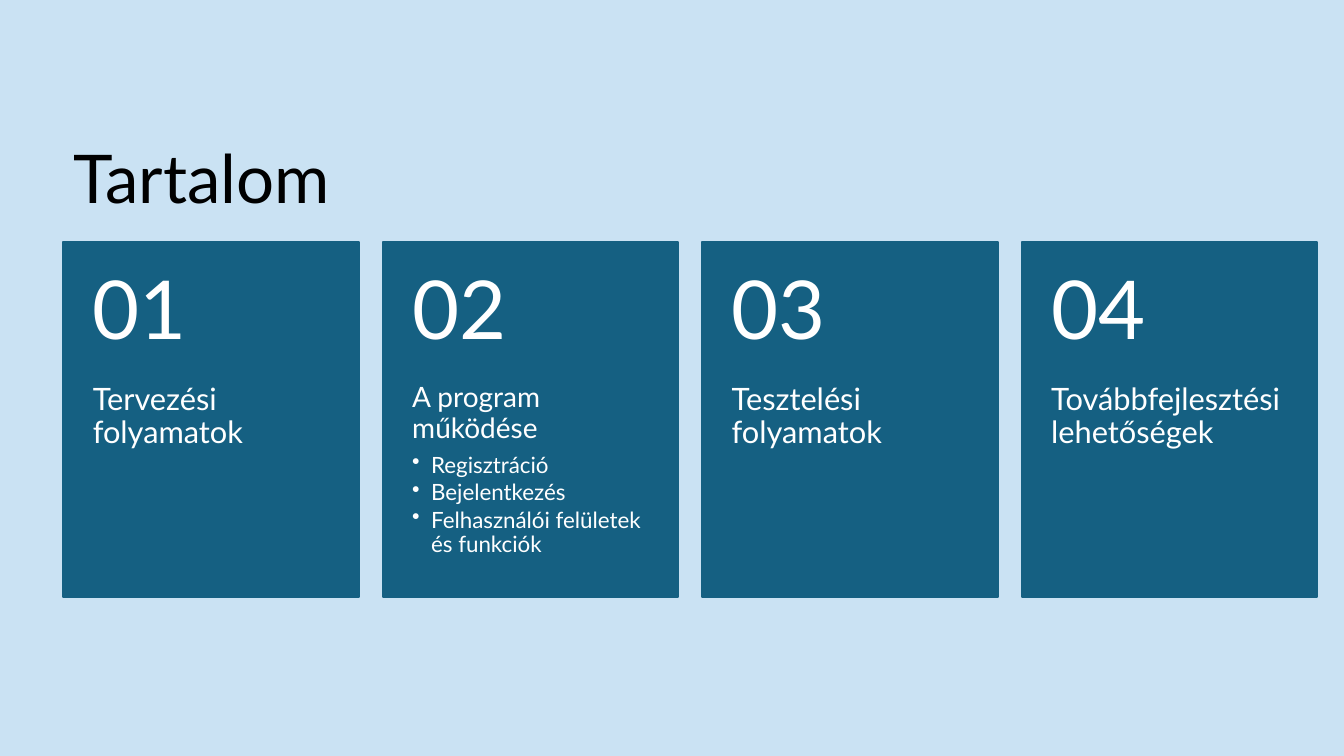
from dataclasses import dataclass

from lxml import etree
from pptx import Presentation
from pptx import util as u
from pptx.dml.color import RGBColor
from pptx.enum import shapes, text
from pptx.oxml import ns
from pptx.slide import Slide
from pptx.text.text import TextFrame, _Paragraph

SKY = RGBColor(0xCA, 0xE2, 0xF3)
TEAL = RGBColor(0x15, 0x60, 0x82)
WHITE = RGBColor(0xFF, 0xFF, 0xFF)
BLACK = RGBColor(0x00, 0x00, 0x00)
FONT = "Lato"

# Card row, in points
ROW_LEFT, ROW_TOP = 45.3, 172.8
CARD_WIDTH, CARD_HEIGHT, CARD_PITCH = 211, 253.4, 228.2
NUMBER_HEIGHT = 101.2
SIDE_INSET = 21
BULLET_INDENT = 13.5


@dataclass(frozen=True)
class Card:
    heading: str
    heading_size: float = 22
    topics: tuple[str, ...] = ()


CARDS = [
    Card("Tervezési folyamatok"),
    Card("A program működése", 20,
         ("Regisztráció", "Bejelentkezés", "Felhasználói felületek és funkciók")),
    Card("Tesztelési folyamatok"),
    Card("Továbbfejlesztési lehetőségek"),
]


def add_text_area(slide: Slide, left: float, top: float, width: float, height: float,
                  insets: tuple[float, float, float],
                  anchor: text.MSO_ANCHOR) -> TextFrame:
    """Add a wrapping text box; insets are side, top and bottom."""
    frame = slide.shapes.add_textbox(
        u.Pt(left), u.Pt(top), u.Pt(width), u.Pt(height)).text_frame
    frame.word_wrap = True
    frame.vertical_anchor = anchor
    side, above, below = insets
    frame.margin_left = frame.margin_right = u.Pt(side)
    frame.margin_top, frame.margin_bottom = u.Pt(above), u.Pt(below)
    return frame


def write(paragraph: _Paragraph, wording: str, size: float, color: RGBColor,
          space_after: float = 0) -> None:
    paragraph.text = wording
    paragraph.line_spacing = 0.9
    paragraph.space_after = u.Pt(space_after)
    for run in paragraph.runs:
        run.font.name = FONT
        run.font.size = u.Pt(size)
        run.font.color.rgb = color


def add_bullet(paragraph: _Paragraph) -> None:
    properties = paragraph._p.get_or_add_pPr()
    properties.set("marL", str(u.Pt(BULLET_INDENT)))
    properties.set("indent", str(-u.Pt(BULLET_INDENT)))
    etree.SubElement(properties, ns.qn("a:buChar")).set("char", "•")


def draw_card(slide: Slide, card: Card, position: int) -> None:
    left = ROW_LEFT + position * CARD_PITCH

    # Panel
    panel = slide.shapes.add_shape(
        shapes.MSO_SHAPE.RECTANGLE,
        u.Pt(left), u.Pt(ROW_TOP), u.Pt(CARD_WIDTH), u.Pt(CARD_HEIGHT))
    panel.shadow.inherit = False
    panel.fill.solid()
    panel.fill.fore_color.rgb = TEAL
    panel.line.color.rgb = TEAL
    panel.line.width = u.Pt(1.5)

    # Heading and topics
    body = add_text_area(slide, left, ROW_TOP + NUMBER_HEIGHT, CARD_WIDTH,
                         CARD_HEIGHT - NUMBER_HEIGHT, (SIDE_INSET, 0, 26),
                         text.MSO_ANCHOR.TOP)
    write(body.paragraphs[0], card.heading, card.heading_size, WHITE,
          0.35 * card.heading_size)
    for topic in card.topics:
        topic_line = body.add_paragraph()
        write(topic_line, topic, 16, WHITE, 2.4)
        add_bullet(topic_line)

    # Number
    number = add_text_area(slide, left, ROW_TOP, CARD_WIDTH, NUMBER_HEIGHT,
                           (SIDE_INSET, 13, 13), text.MSO_ANCHOR.MIDDLE)
    write(number.paragraphs[0], f"{position + 1:02}", 58, WHITE)


def main() -> None:
    deck = Presentation()
    deck.slide_width, deck.slide_height = u.Pt(960), u.Pt(540)
    contents = deck.slides.add_slide(deck.slide_layouts[6])
    contents.background.fill.solid()
    contents.background.fill.fore_color.rgb = SKY

    # Title
    title = add_text_area(contents, ROW_LEFT, 77.8, 828, 104.4, (7.2, 3.6, 3.6),
                          text.MSO_ANCHOR.MIDDLE)
    write(title.paragraphs[0], "Tartalom", 48, BLACK)

    # Cards
    for position, card in enumerate(CARDS):
        draw_card(contents, card, position)

    deck.save("out.pptx")


if __name__ == "__main__":
    main()
